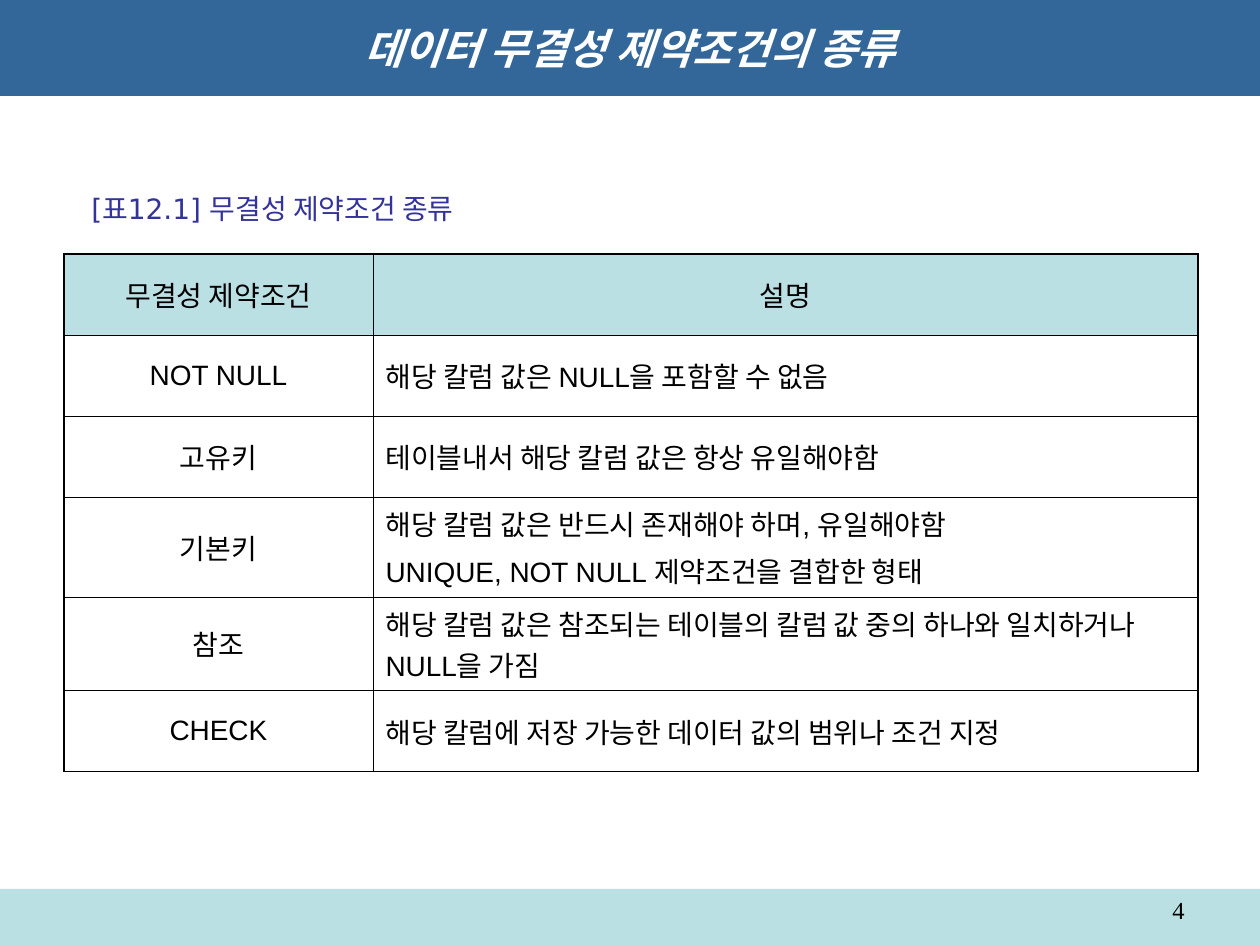
from lxml.etree import SubElement
from pptx import Presentation
from pptx.dml.color import RGBColor
from pptx.enum.shapes import MSO_SHAPE as Shape
from pptx.enum.text import MSO_ANCHOR as Anchor, MSO_AUTO_SIZE as AutoSize, PP_ALIGN as Align
from pptx.oxml.ns import qn
from pptx.util import Emu, Pt

PX = 914400 / 126
WIDTH, HEIGHT = 1260, 945
PALE_BLUE, BLUE, INDIGO = "BBE0E3", "336699", "333399"
WHITE, BLACK = "FFFFFF", "000000"
THIN, THICK = 0.45, 1.08

COLUMN_WIDTHS = [309, 825]
ROW_HEIGHTS = [81, 81, 81, 100, 93, 81]
ROWS = [
    ("무결성 제약조건", ["설명"]),
    ("NOT NULL", ["해당 칼럼 값은 NULL을 포함할 수 없음"]),
    ("고유키", ["테이블내서 해당 칼럼 값은 항상 유일해야함"]),
    ("기본키", ["해당 칼럼 값은 반드시 존재해야 하며, 유일해야함",
             "UNIQUE, NOT NULL 제약조건을 결합한 형태"]),
    ("참조", ["해당 칼럼 값은 참조되는 테이블의 칼럼 값 중의 하나와 일치하거나 NULL을 가짐"]),
    ("CHECK", ["해당 칼럼에 저장 가능한 데이터 값의 범위나 조건 지정"]),
]


def px(length):
    return Emu(round(length * PX))


def color(value):
    return RGBColor.from_string(value)


def write(paragraph, text, font, size, ink, align=Align.LEFT, bold=False, italic=False):
    paragraph.alignment = align
    run = paragraph.add_run()
    run.text = text
    run.font.name = font
    run.font.size = Pt(size)
    run.font.color.rgb = color(ink)
    run.font.bold = bold
    run.font.italic = italic


def add_bar(slide, box, fill):
    bar = slide.shapes.add_shape(Shape.RECTANGLE, *map(px, box))
    bar.shadow.inherit = False
    bar.fill.solid()
    bar.fill.fore_color.rgb = color(fill)
    bar.line.fill.background()
    return bar


def add_title(slide, box, text):
    frame = add_bar(slide, box, BLUE).text_frame
    frame.vertical_anchor = Anchor.MIDDLE
    frame.word_wrap = True
    write(frame.paragraphs[0], text, "DejaVu Sans", 24, WHITE, Align.CENTER, True, True)


def add_caption(slide, box, text):
    frame = slide.shapes.add_textbox(*map(px, box)).text_frame
    frame.vertical_anchor = Anchor.MIDDLE
    frame.word_wrap = False
    frame.auto_size = AutoSize.SHAPE_TO_FIT_TEXT
    write(frame.paragraphs[0], text, "DejaVu Sans", 16, INDIGO)


def add_footer(slide, box, number):
    left, top, width, height = box
    add_bar(slide, box, PALE_BLUE)
    number_box = (left + width - 357, top, 294, height - 19)
    frame = slide.shapes.add_textbox(*map(px, number_box)).text_frame
    frame.word_wrap = True
    write(frame.paragraphs[0], number, "Times New Roman", 14, BLACK, Align.RIGHT)


def set_borders(cell, widths):
    """Draw black borders; widths maps the sides L, R, T and B to points."""
    properties = cell._tc.get_or_add_tcPr()
    for side, width in widths.items():
        line = SubElement(properties, qn(f"a:ln{side}"), w=str(Pt(width)))
        fill = SubElement(line, qn("a:solidFill"))
        SubElement(fill, qn("a:srgbClr"), val=BLACK)


def fill_cell(cell, lines, align, fill):
    cell.fill.solid()
    cell.fill.fore_color.rgb = color(fill)
    cell.vertical_anchor = Anchor.MIDDLE
    frame = cell.text_frame
    for index, line in enumerate(lines):
        paragraph = frame.add_paragraph() if index else frame.paragraphs[0]
        paragraph.space_before = Pt(4)
        write(paragraph, line, "Arial", 16, BLACK, align)


def add_constraint_table(slide, left, top):
    box = (left, top, sum(COLUMN_WIDTHS), sum(ROW_HEIGHTS))
    table = slide.shapes.add_table(len(ROWS), len(COLUMN_WIDTHS), *map(px, box)).table
    for column, width in zip(table.columns, COLUMN_WIDTHS):
        column.width = px(width)
    last = len(ROWS) - 1
    for index, (name, description) in enumerate(ROWS):
        table.rows[index].height = px(ROW_HEIGHTS[index])
        fill = PALE_BLUE if index == 0 else WHITE
        top_width = THICK if index == 0 else THIN
        bottom_width = THICK if index == last else THIN
        name_cell, description_cell = table.rows[index].cells
        set_borders(name_cell, dict(L=THICK, R=THIN, T=top_width, B=bottom_width))
        set_borders(description_cell, dict(L=THIN, R=THICK, T=top_width, B=bottom_width))
        fill_cell(name_cell, [name], Align.CENTER, fill)
        fill_cell(description_cell, description,
                  Align.CENTER if index == 0 else Align.LEFT, fill)


def main():
    presentation = Presentation()
    presentation.slide_width = px(WIDTH)
    presentation.slide_height = px(HEIGHT)
    slide = presentation.slides.add_slide(presentation.slide_layouts[6])
    add_title(slide, (0, 0, WIDTH, 96), "데이터 무결성 제약조건의 종류")
    add_constraint_table(slide, 64, 254)
    add_caption(slide, (79, 185, 413, 47), "[표12.1] 무결성 제약조건 종류")
    add_footer(slide, (0, 889, WIDTH, 56), "4")
    presentation.save("out.pptx")


if __name__ == "__main__":
    main()
